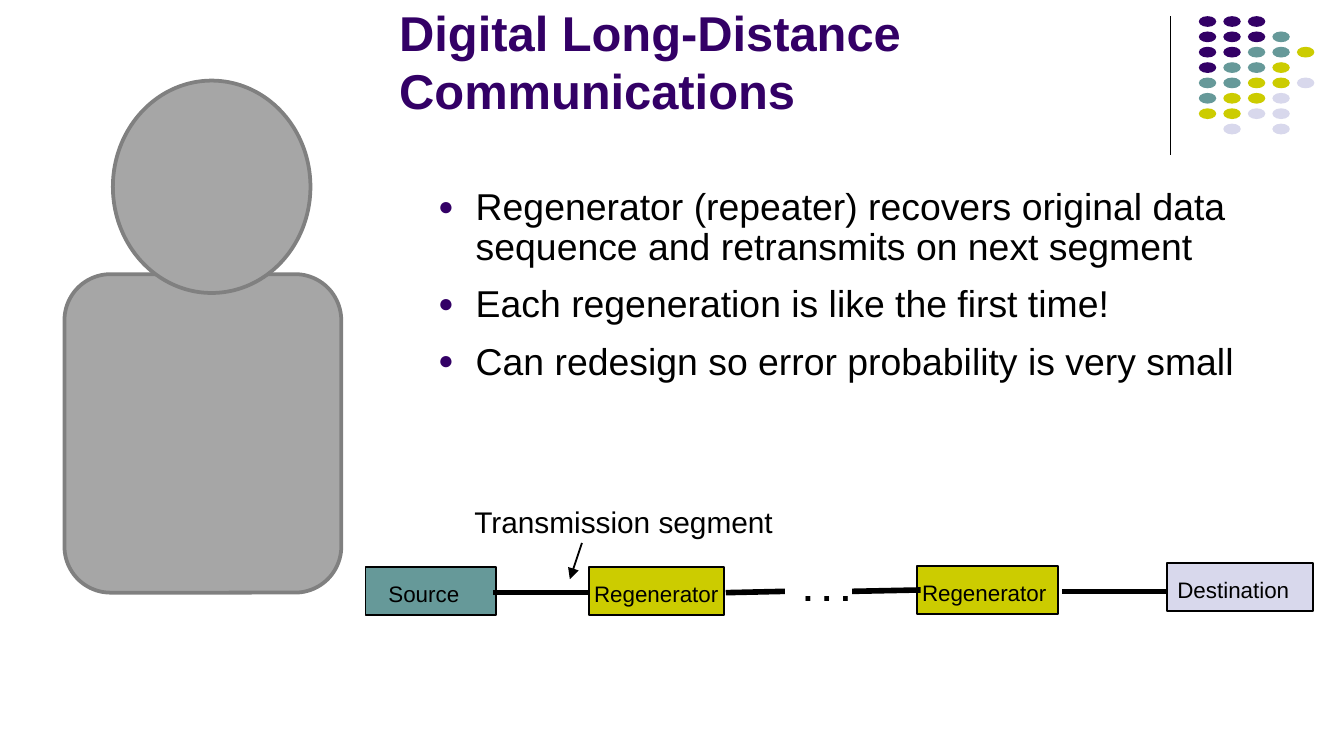
import pptx
import pptx.util
import pptx.dml.color
import pptx.enum.shapes
import pptx.enum.text
import pptx.oxml.ns
import lxml.etree

Inches, Pt = pptx.util.Inches, pptx.util.Pt
RGB = pptx.dml.color.RGBColor.from_string
KINDS = pptx.enum.shapes.MSO_SHAPE
FIT = pptx.enum.text.MSO_AUTO_SIZE
LEFT = pptx.enum.text.PP_ALIGN.LEFT
ANCHOR = pptx.enum.text.MSO_ANCHOR
qn = pptx.oxml.ns.qn

HUES = {
    "purple": "330066", "teal": "669999", "yellow": "CCCC00", "pale": "D8D8EC",
    "black": "000000", "gray": "A6A6A6", "edge": "808080",
}

# Slide in 16:9
deck = pptx.Presentation()
deck.slide_width = Inches(10)
deck.slide_height = Inches(10) * 9 // 16
slide = deck.slides.add_slide(deck.slide_layouts[1])
shapes = slide.shapes


def add_shape(kind, place, fill, edge=None, width=1):
    shape = shapes.add_shape(kind, *map(Inches, place))
    shape.shadow.inherit = False
    shape.fill.solid()
    shape.fill.fore_color.rgb = RGB(HUES[fill])
    if edge:
        shape.line.color.rgb = RGB(HUES[edge])
        shape.line.width = Pt(width)
    else:
        shape.line.fill.background()


def set_font(font, size, hue="black", bold=False):
    font.name, font.size, font.bold = "Arial", Pt(size), bold
    font.color.rgb = RGB(HUES[hue])


# Corner dots: one letter per dot, a space for a gap
keys = {"P": "purple", "T": "teal", "Y": "yellow", "L": "pale"}
dots = ["PPP", "PPPT", "PPTTY", "PTTY", "TTYYL", "TYYL", "YYLL", " L L"]
step = (9.65 - 8.92) / 4
drop = (0.92 - 0.12) / 7
for row, marks in enumerate(dots):
    for col, mark in enumerate(marks):
        if mark in keys:
            spot = (8.92 + col * step, 0.12 + row * drop, 0.13, 0.08)
            add_shape(KINDS.OVAL, spot, keys[mark])

# Title
title = shapes.title
title.left, title.top, title.width, title.height = map(Inches, (2.87, 0.1, 5.88, 0.84))
frame = title.text_frame
frame.text = "Digital Long-Distance Communications"
frame.auto_size = FIT.NONE
frame.vertical_anchor = ANCHOR.BOTTOM
frame.paragraphs[0].alignment = LEFT
set_font(frame.paragraphs[0].runs[0].font, 26.2, "purple", True)

# Bullet list
body = slide.placeholders[1]
body.left, body.top, body.width, body.height = map(Inches, (3.16, 1.35, 6.3, 2.21))
points = [
    "Regenerator (repeater) recovers original data sequence and retransmits on next segment",
    "Each regeneration is like the first time!",
    "Can redesign so error probability is very small",
]
frame = body.text_frame
frame.text = "\n".join(points)
frame.auto_size = FIT.NONE
for num, para in enumerate(frame.paragraphs):
    props = para._p.get_or_add_pPr()
    props.set("marL", str(Inches(0.28)))
    props.set("indent", str(-Inches(0.28)))
    tint = lxml.etree.SubElement(props, qn("a:buClr"))
    lxml.etree.SubElement(tint, qn("a:srgbClr"), val=HUES["purple"])
    lxml.etree.SubElement(props, qn("a:buSzPct"), val="70000")
    lxml.etree.SubElement(props, qn("a:buFont"), typeface="Arial")
    lxml.etree.SubElement(props, qn("a:buChar"), char="●")
    para.line_spacing = 0.9
    para.space_before = Pt(9 if num else 0)
    set_font(para.runs[0].font, 20)

# Boxes of the transmission chain
boxes = [
    ((2.72, 4.22, 0.97, 0.36), "teal"),
    ((4.38, 4.22, 1.01, 0.36), "yellow"),
    ((6.82, 4.21, 1.05, 0.36), "yellow"),
    ((8.68, 4.19, 1.09, 0.36), "pale"),
]
for place, fill in boxes:
    add_shape(KINDS.RECTANGLE, place, fill, "black")

# Corner rule, chain links and pointer arrow: ends, width, arrowhead
lines = [
    ((8.71, 0.12, 8.71, 1.15), 0.75, False),
    ((3.67, 4.41, 4.39, 4.41), 3, False),
    ((5.4, 4.41, 5.84, 4.4), 3, False),
    ((6.34, 4.4, 6.85, 4.39), 3, False),
    ((7.9, 4.4, 8.68, 4.4), 3, False),
    ((4.33, 4.04, 4.24, 4.31), 1, True),
]
for ends, width, head in lines:
    link = shapes.add_connector(
        pptx.enum.shapes.MSO_CONNECTOR.STRAIGHT, *map(Inches, ends))
    link.line.color.rgb = RGB(HUES["black"])
    link.line.width = Pt(width)
    if head:
        lxml.etree.SubElement(link.line._get_or_add_ln(), qn("a:tailEnd"), type="triangle")
    lxml.etree.SubElement(link._element.spPr, qn("a:effectLst"))

# Labels: text, place, size, bold, side and top insets
labels = [
    ("Source", (2.82, 4.28, 0.73, 0.28), 12, False, 0.07, 0.04),
    ("Regenerator", (4.35, 4.28, 1.08, 0.28), 12, False, 0.07, 0.04),
    ("Regenerator", (6.79, 4.27, 1.08, 0.28), 12, False, 0.07, 0.04),
    ("Destination", (8.69, 4.25, 0.99, 0.28), 12, False, 0.07, 0.04),
    ("Transmission segment", (3.46, 3.71, 2.4, 0.34), 16, False, 0.07, 0.04),
    (". . .", (5.88, 4.18, 0.55, 0.4), 18, True, 0.1, 0.05),
]
for text, place, size, bold, side, top in labels:
    frame = shapes.add_textbox(*map(Inches, place)).text_frame
    frame.text = text
    frame.word_wrap = False
    frame.auto_size = FIT.SHAPE_TO_FIT_TEXT
    frame.margin_left = frame.margin_right = Inches(side)
    frame.margin_top = frame.margin_bottom = Inches(top)
    set_font(frame.paragraphs[0].runs[0].font, size, "black", bold)

# Plain figure: body, then head
add_shape(KINDS.ROUNDED_RECTANGLE, (0.48, 2.04, 2.06, 2.37), "gray", "edge", 2)
add_shape(KINDS.OVAL, (0.84, 0.6, 1.47, 1.58), "gray", "edge", 2)

deck.save("out.pptx")
